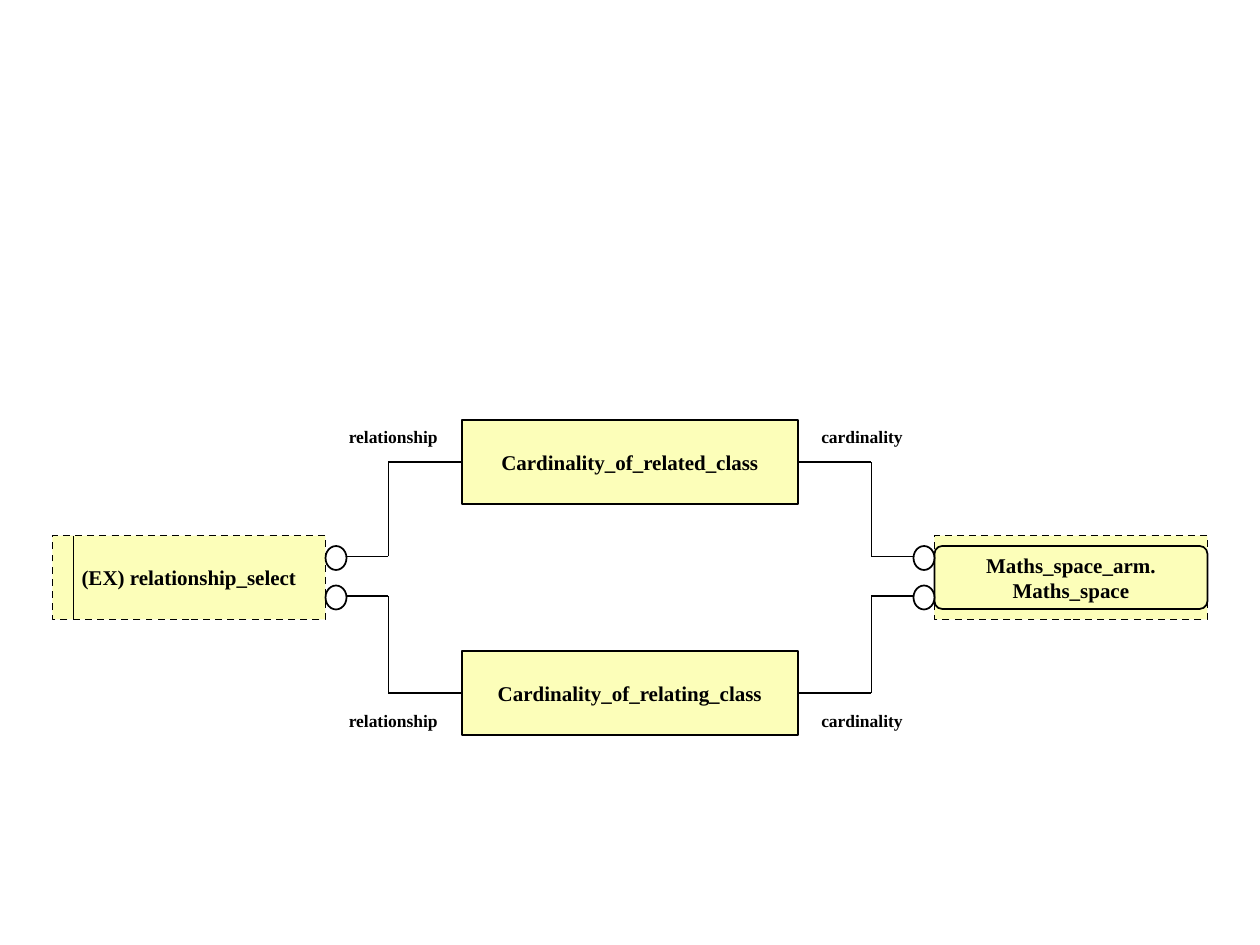
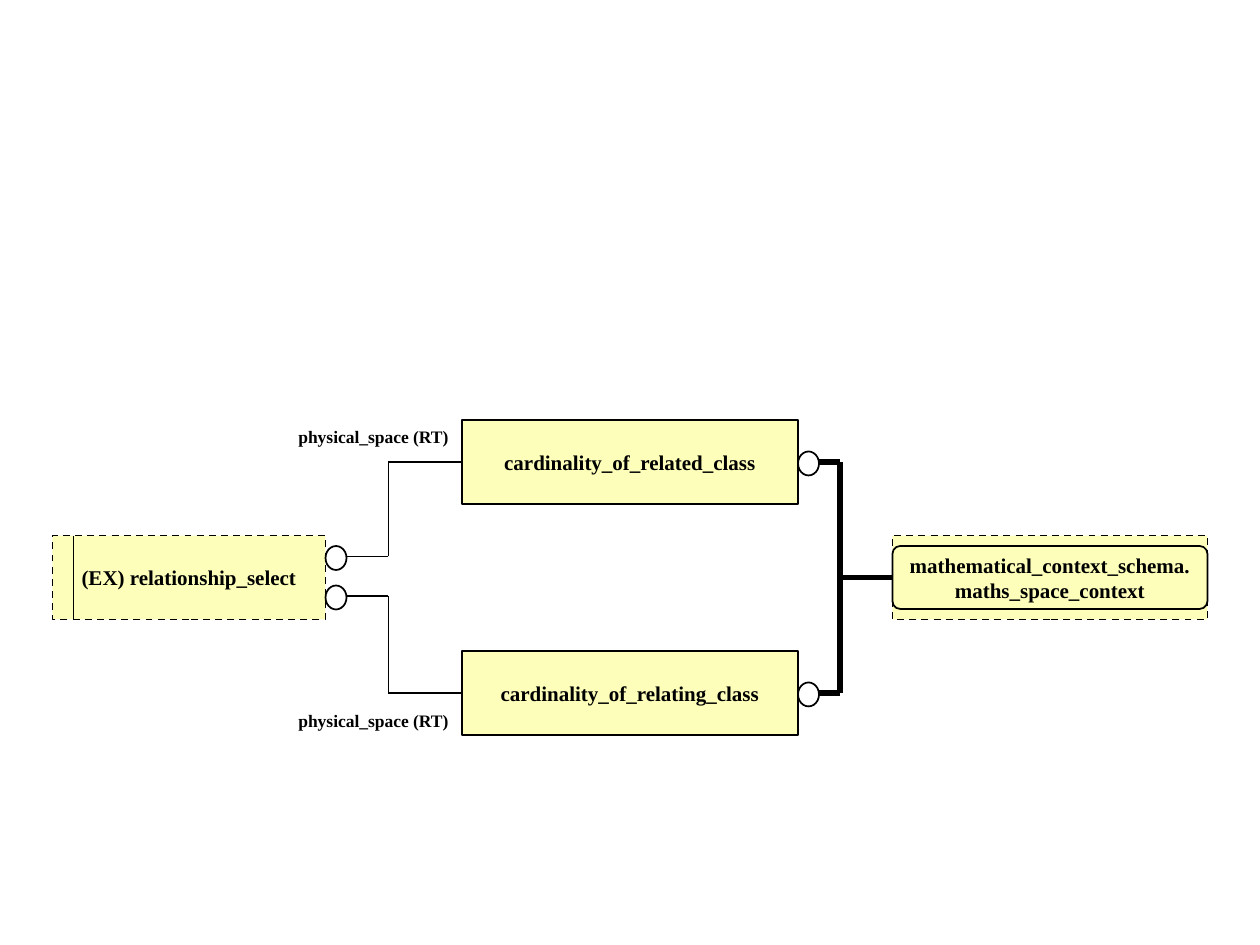
from dataclasses import dataclass

from lxml import etree
from pptx import Presentation
from pptx.dml.color import RGBColor
from pptx.enum.dml import MSO_LINE
from pptx.enum.shapes import MSO_CONNECTOR, MSO_SHAPE
from pptx.enum.text import MSO_ANCHOR, MSO_AUTO_SIZE, PP_ALIGN
from pptx.oxml.ns import qn
from pptx.util import Inches, Pt


@dataclass(frozen=True)
class Theme:
    ink: RGBColor = RGBColor(0, 0, 0)
    paper: RGBColor = RGBColor(255, 255, 255)
    entity: RGBColor = RGBColor(0xFC, 0xFE, 0xB9)
    font: str = "Times New Roman"
    name_size: int = 12
    label_size: int = 10
    thin: int = 1
    thick: int = 3


UNIT = Inches(1) // 12  # drawing grid


@dataclass(frozen=True)
class Box:
    """Place and size in grid units."""
    left: int
    top: int
    width: int
    height: int

    def emu(self):
        return [UNIT * v for v in (self.left, self.top, self.width, self.height)]


THEME = Theme()
LEFT, RIGHT = 1, 3  # connection sites of a rectangle
PORT_WIDTH, PORT_HEIGHT = 2 * UNIT, Inches(0.19)
BEND = 6 * UNIT
PORT_OFFSETS = 2 * UNIT, Inches(0.48)
LABEL_OFFSETS = 0, 5 * UNIT
LABEL_HEIGHT = Inches(0.27)

RELATED = Box(44, 40, 32, 8)
RELATING = Box(44, 62, 32, 8)
SELECT = Box(5, 51, 26, 8)


def write(shape, text, size, align, anchor):
    tf = shape.text_frame
    tf.word_wrap = False
    tf.vertical_anchor = anchor
    tf.text = text
    font_format = {"name": THEME.font, "size": Pt(size), "bold": True}
    for p in tf.paragraphs:
        p.alignment = align
        for key, value in font_format.items():
            setattr(p.font, key, value)
        p.font.color.rgb = THEME.ink


def add_outline(shapes, kind, bounds, fill=None, dash=None):
    sp = shapes.add_shape(kind, *bounds)
    sp.shadow.inherit = False
    if fill is None:
        sp.fill.background()
    else:
        sp.fill.solid()
        sp.fill.fore_color.rgb = fill
    sp.line.color.rgb = THEME.ink
    sp.line.width = Pt(THEME.thin)
    if dash:
        sp.line.dash_style = dash
    return sp


def add_entity(shapes, box, name, dash=None):
    sp = add_outline(shapes, MSO_SHAPE.RECTANGLE, box.emu(), THEME.entity, dash)
    write(sp, name, THEME.name_size, PP_ALIGN.CENTER, MSO_ANCHOR.MIDDLE)
    return sp


def add_select(s, box):
    """Dashed box with a bar near its left side."""
    sp = add_entity(s.shapes, box, "(EX) relationship_select", MSO_LINE.DASH)
    x = sp.left + 2 * UNIT
    add_line(s, (x, sp.top + sp.height), (x, sp.top))
    return sp


def add_schema_reference(s, box, name):
    """Dashed box around a rounded outline, for an entity of another schema."""
    shapes = s.shapes.add_group_shape().shapes
    sp = add_entity(shapes, box, name, MSO_LINE.DASH)
    inner = Box(box.left, box.top + 1, box.width, box.height - 2)
    rounded = add_outline(shapes, MSO_SHAPE.ROUNDED_RECTANGLE, inner.emu())
    rounded.adjustments[0] = 0.125
    return sp


def add_line(s, start, end, width=THEME.thin):
    cxn = s.shapes.add_connector(MSO_CONNECTOR.STRAIGHT, *start, *end)
    cxn.line.color.rgb = THEME.ink
    cxn.line.width = Pt(width)
    etree.SubElement(cxn._element.spPr, qn("a:effectLst"))
    return cxn


def add_port(s, target, side, y):
    """Circle touching one side of the target; returns its outer x."""
    if side == LEFT:
        x = target.left - PORT_WIDTH
        outer = x
    else:
        x = target.left + target.width
        outer = x + PORT_WIDTH
    bounds = x, y - UNIT, PORT_WIDTH, PORT_HEIGHT
    add_outline(s.shapes, MSO_SHAPE.OVAL, bounds, THEME.paper)
    return outer


def middle(shape):
    return shape.top + shape.height // 2


def add_label(s, text, left, top, width):
    tb = s.shapes.add_textbox(Inches(left), top, Inches(width), LABEL_HEIGHT)
    write(tb, text, THEME.label_size, PP_ALIGN.LEFT, MSO_ANCHOR.TOP)
    tb.text_frame.auto_size = MSO_AUTO_SIZE.SHAPE_TO_FIT_TEXT


def add_attributes(s, entities, target, side, text, left, width):
    """Labelled bent lines from each entity to ports on a side of the target."""
    for entity, port, drop in zip(entities, PORT_OFFSETS, LABEL_OFFSETS):
        y = target.top + port
        outer = add_port(s, target, side, y)
        bend = target.left - BEND if side == LEFT else target.left + target.width + BEND
        add_line(s, (outer, y), (bend, y))
        add_line(s, (bend, y), (bend, middle(entity)))
        run = add_line(s, (bend, middle(entity)), (entity.left, middle(entity)))
        run.end_connect(entity, LEFT if side == RIGHT else RIGHT)
        add_label(s, text, left, entity.top + drop, width)


def add_subtypes(s, entities, supertype):
    """Thick tree from the supertype to a port on each entity."""
    trunk = entities[0].left + entities[0].width + 4 * UNIT
    for entity in entities:
        outer = add_port(s, entity, RIGHT, middle(entity))
        add_line(s, (outer, middle(entity)), (trunk, middle(entity)), THEME.thick)
    add_line(s, *((trunk, middle(e)) for e in entities), THEME.thick)
    y = middle(supertype)
    branch = add_line(s, (trunk, y), (supertype.left, y), THEME.thick)
    branch.end_connect(supertype, LEFT)


def add_model(prs, names, label, label_left, label_width):
    """Slide with the two entities and their select on the left."""
    s = prs.slides.add_slide(prs.slide_layouts[6])
    entities = [add_entity(s.shapes, box, name)
                for box, name in zip((RELATED, RELATING), names)]
    select = add_select(s, SELECT)
    add_attributes(s, entities, select, RIGHT, label, label_left, label_width)
    return s, entities


def add_arm_slide(prs):
    names = "Cardinality_of_related_class", "Cardinality_of_relating_class"
    s, entities = add_model(prs, names, "relationship", 2.67, 0.92)
    space = add_schema_reference(s, Box(89, 51, 26, 8),
                                 "Maths_space_arm.\nMaths_space")
    add_attributes(s, entities, space, LEFT, "cardinality", 6.42, 0.86)


def add_mim_slide(prs):
    names = "cardinality_of_related_class", "cardinality_of_relating_class"
    s, entities = add_model(prs, names, "physical_space (RT)", 2.27, 1.4)
    context = add_schema_reference(s, Box(85, 51, 30, 8),
                                   "mathematical_context_schema.\nmaths_space_context")
    add_subtypes(s, entities, context)


def main():
    prs = Presentation()
    prs.slide_width, prs.slide_height = Inches(10), Inches(7.5)
    add_arm_slide(prs)
    add_mim_slide(prs)
    prs.save("out.pptx")


if __name__ == "__main__":
    main()
